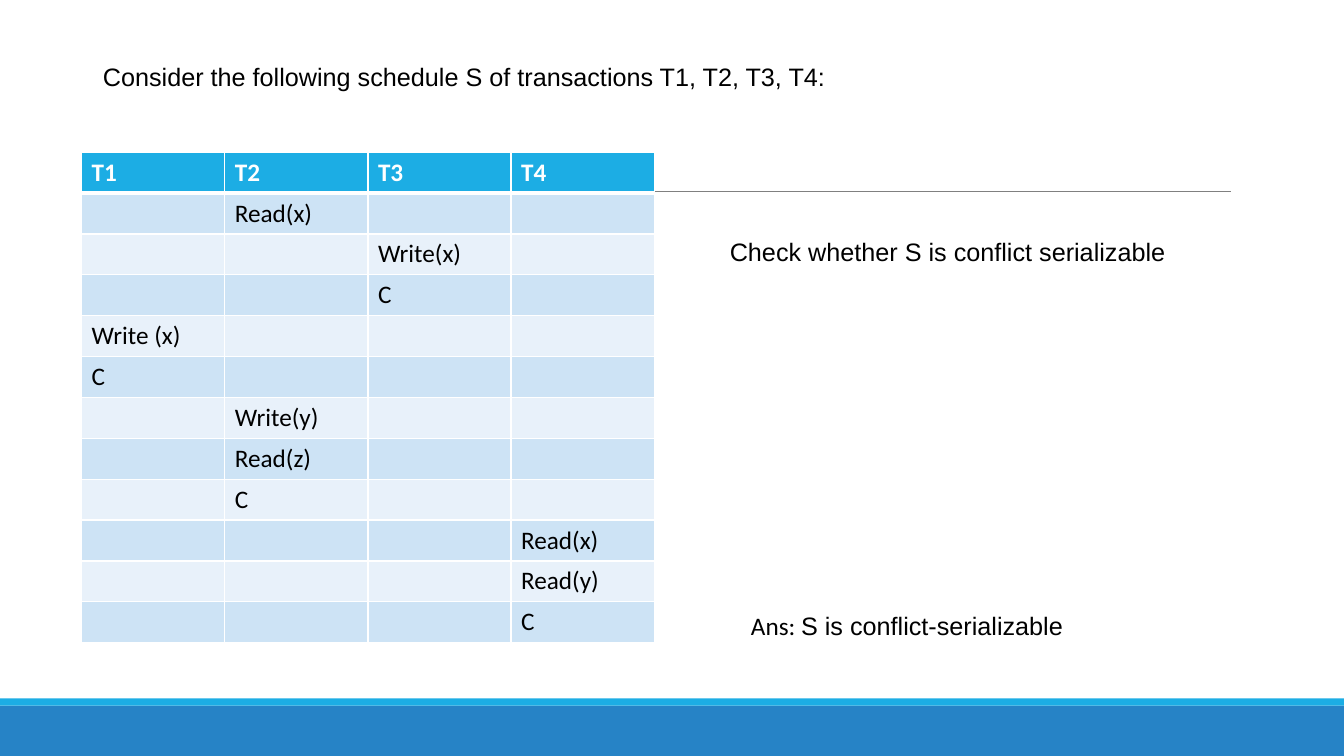
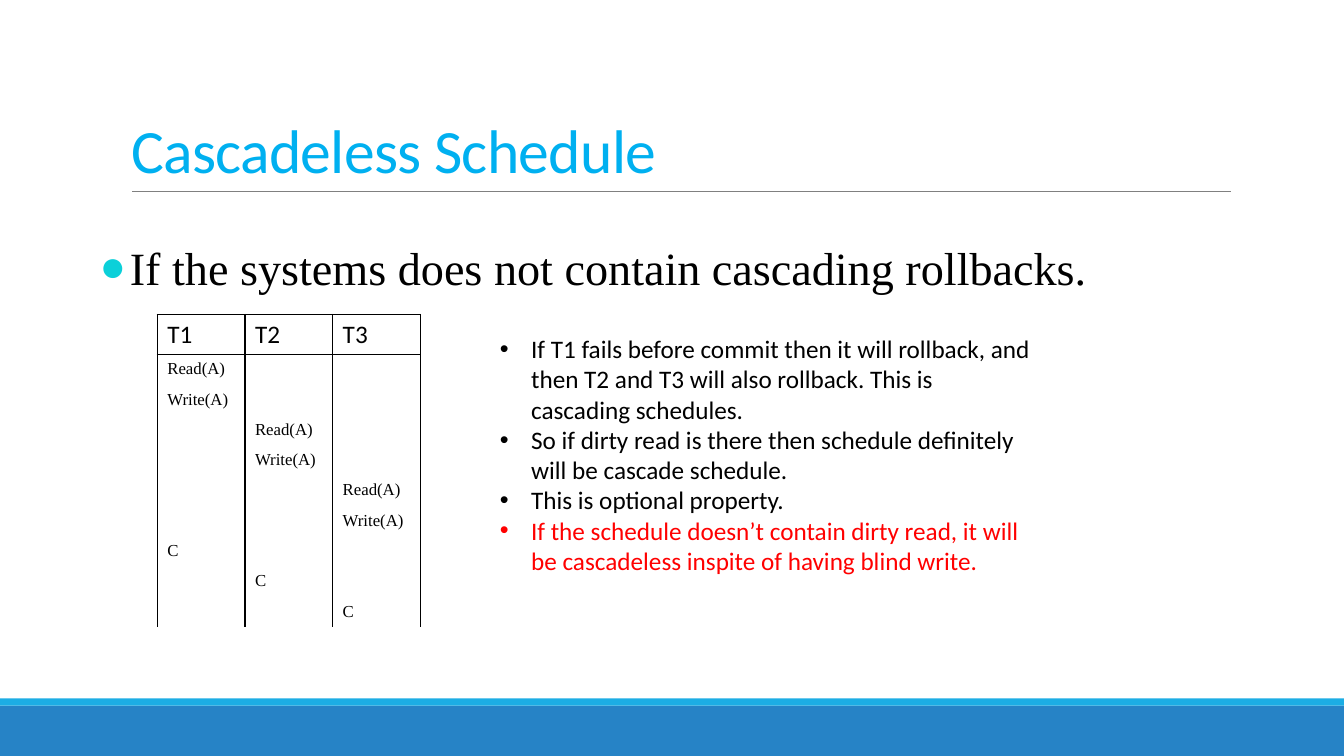
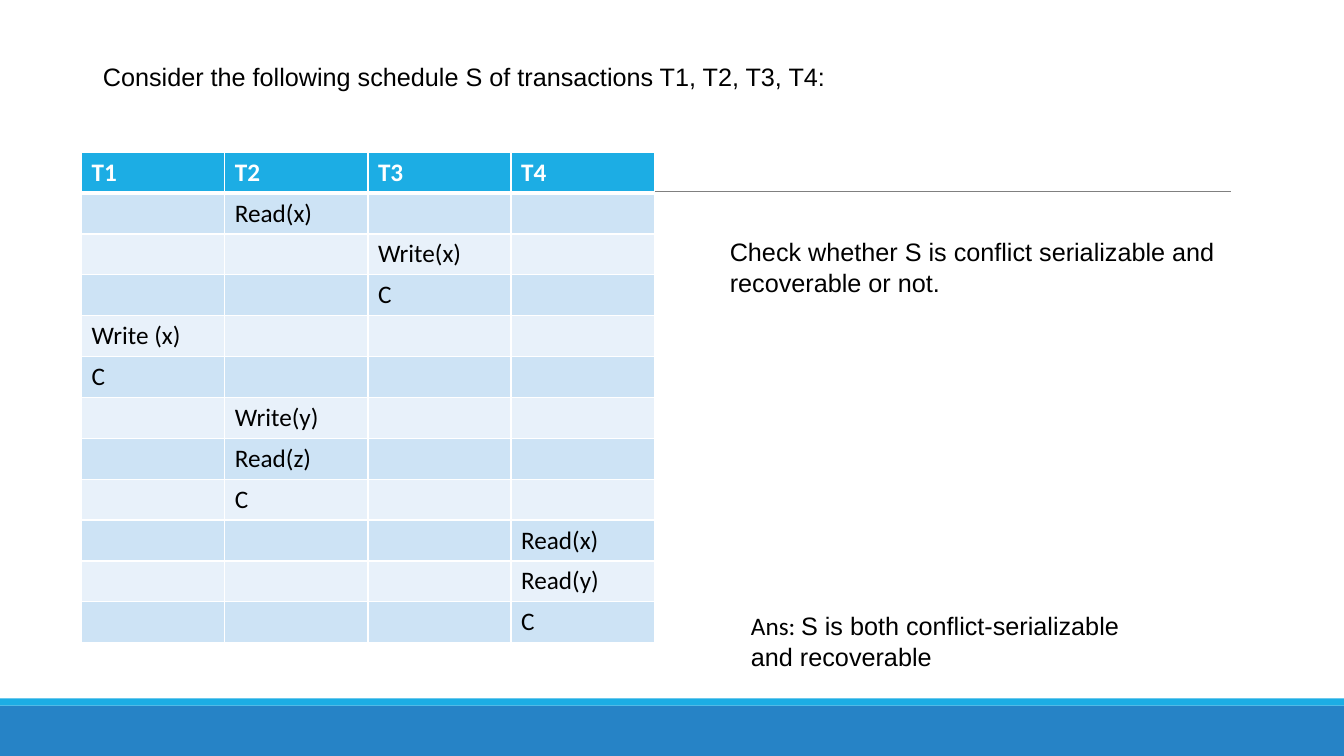
from lxml import etree
from pptx import Presentation
from pptx.dml.color import RGBColor
from pptx.enum.shapes import MSO_CONNECTOR, MSO_SHAPE
from pptx.enum.text import MSO_ANCHOR, MSO_AUTO_SIZE, PP_ALIGN
from pptx.oxml.ns import qn
from pptx.util import Inches, Pt

RECTANGLE, STRAIGHT = MSO_SHAPE.RECTANGLE, MSO_CONNECTOR.STRAIGHT
TOP, BOTTOM = MSO_ANCHOR.TOP, MSO_ANCHOR.BOTTOM
LEFT, FIXED = PP_ALIGN.LEFT, MSO_AUTO_SIZE.NONE
TITLE_ONLY = 5
NO_STYLE_NO_GRID = "{2D5ABB26-0587-4C30-8999-92F81FD0307C}"


class Theme:
    black, white, red = "000000", "FFFFFF", "FF0000"
    band, accent, rule = "2683C6", "1CADE4", "808080"
    title, bullet = "00B0F0", "0BD0D9"
    stripes = ("CDE3F5", "E8F1FA")
    heading = {"name": "Calibri", "size": 44, "color": title}
    sans = {"name": "Arial", "size": 18, "color": black}
    text = {"name": "Calibri", "size": 18, "color": black}
    alert = {**text, "color": red}
    statement = {"name": "Times New Roman", "size": 33, "color": black}
    operation = {**statement, "size": 12}
    header = {**text, "color": white, "bold": True}


SLIDE_SIZE = (13.33, 7.5)
BANDS = [((0, 7, 13.33, 0.5), Theme.band), ((0, 6.93, 13.33, 0.07), Theme.accent)]
RULE = (1.31, 12.21, 1.9)

# Each step is (transaction number, operation), in time order
CONFLICT_STEPS = [
    (2, "Read(x)"), (3, "Write(x)"), (3, "C"), (1, "Write (x)"), (1, "C"),
    (2, "Write(y)"), (2, "Read(z)"), (2, "C"), (4, "Read(x)"), (4, "Read(y)"), (4, "C"),
]
CASCADE_STEPS = [
    (1, "Read(A)"), (1, "Write(A)"), (2, "Read(A)"), (2, "Write(A)"),
    (3, "Read(A)"), (3, "Write(A)"), (1, "C"), (2, "C"), (3, "C"),
]
EXERCISE_INTRO = "Consider the following schedule S of transactions T1, T2, T3, T4:"
EXERCISES = [
    ("Check whether S is conflict serializable", "S is conflict-serializable"),
    ("Check whether S is conflict serializable and recoverable or not.",
     "S is both conflict-serializable and recoverable"),
]
CASCADELESS_TITLE = "Cascadeless Schedule"
CASCADELESS_MEANING = "If the systems does not contain cascading rollbacks."
CASCADELESS_NOTES = [
    ("If T1 fails before commit then it will rollback, and then T2 and T3 will also "
     "rollback. This is cascading schedules.", Theme.text),
    ("So if dirty read is there then schedule definitely will be cascade schedule.", Theme.text),
    ("This is optional property.", Theme.text),
    ("If the schedule doesn’t contain dirty read, it will be cascadeless inspite of "
     "having blind write.", Theme.alert),
]

# Border widths in points by edge, for the header row and the rows below it
STRIPED = {
    "at": (0.81, 1.51), "column": 1.42, "rows": (0.4, 0.4), "line": Theme.white,
    "header": Theme.header, "body": Theme.text,
    "header_fill": Theme.accent, "fills": Theme.stripes,
    "header_edges": {"L": 1, "R": 1, "T": 1, "B": 3}, "body_edges": {"L": 1, "R": 1, "B": 1},
}
OUTLINED = {
    "at": (1.56, 3.12), "column": 0.87, "rows": (0.4, 0.28), "line": Theme.black,
    "header": Theme.text, "body": Theme.operation,
    "header_fill": None, "fills": (None,),
    "header_edges": {"L": 1, "R": 1, "T": 1, "B": 1}, "body_edges": {"L": 1, "R": 1},
}


def set_all(target, values):
    for attribute, value in values.items():
        setattr(target, attribute, value)


def paint(fill, color):
    if color is None:
        fill.background()
    else:
        fill.solid()
        fill.fore_color.rgb = RGBColor.from_string(color)


def add_run(paragraph, text, style):
    run = paragraph.add_run()
    run.text = text
    set_all(run.font, {"name": style["name"], "size": Pt(style["size"]),
                       "bold": style.get("bold", False)})
    run.font.color.rgb = RGBColor.from_string(style["color"])
    return run


def add_bullet(paragraph, symbol, color, indent, percent=100):
    properties = paragraph._p.get_or_add_pPr()
    properties.set("marL", str(Inches(indent)))
    properties.set("indent", str(-Inches(indent)))
    bullet_color = etree.SubElement(properties, qn("a:buClr"))
    etree.SubElement(bullet_color, qn("a:srgbClr"), val=color)
    etree.SubElement(properties, qn("a:buSzPct"), val=str(percent * 1000))
    etree.SubElement(properties, qn("a:buFont"), typeface="Arial")
    etree.SubElement(properties, qn("a:buChar"), char=symbol)


def add_text(slide, at, paragraphs, bullet=None):
    """Add a wrapped box; each paragraph is a list of (text, style) runs."""
    frame = slide.shapes.add_textbox(*map(Inches, at)).text_frame
    frame.word_wrap = True
    for number, runs in enumerate(paragraphs):
        paragraph = frame.add_paragraph() if number else frame.paragraphs[0]
        if bullet:
            add_bullet(paragraph, **{"color": runs[0][1]["color"], **bullet})
        for text, style in runs:
            add_run(paragraph, text, style)


def set_title(slide, at, text, style, anchor, side_margin, line_spacing):
    title = slide.shapes.title
    set_all(title, dict(zip(("left", "top", "width", "height"), map(Inches, at))))
    set_all(title.text_frame, {
        "word_wrap": True, "auto_size": FIXED, "vertical_anchor": anchor,
        "margin_left": Inches(side_margin), "margin_right": Inches(side_margin)})
    paragraph = title.text_frame.paragraphs[0]
    set_all(paragraph, {"alignment": LEFT, "line_spacing": line_spacing})
    return add_run(paragraph, text, style)


def new_slide(deck):
    """Add a title-only slide with the shared bands and rule."""
    slide = deck.slides.add_slide(deck.slide_layouts[TITLE_ONLY])
    for at, color in BANDS:
        band = slide.shapes.add_shape(RECTANGLE, *map(Inches, at))
        band.shadow.inherit = False
        paint(band.fill, color)
        band.line.fill.background()
    start, end, height = map(Inches, RULE)
    rule = slide.shapes.add_connector(STRAIGHT, start, height, end, height)
    rule.line.width = Pt(0.5)
    rule.line.color.rgb = RGBColor.from_string(Theme.rule)
    etree.SubElement(rule._element.spPr, qn("a:effectLst"))
    return slide


def set_borders(cell, edges, color):
    properties = cell._tc.get_or_add_tcPr()
    for edge, width in edges.items():
        border = etree.SubElement(properties, qn(f"a:ln{edge}"), w=str(Pt(width)))
        fill = etree.SubElement(border, qn("a:solidFill"))
        etree.SubElement(fill, qn("a:srgbClr"), val=color)


def add_schedule(slide, steps, look):
    """Add a table with a column per transaction and a row per step."""
    columns = max(transaction for transaction, _ in steps)
    header_height, step_height = look["rows"]
    left, top = look["at"]
    table = slide.shapes.add_table(
        len(steps) + 1, columns, Inches(left), Inches(top), Inches(columns * look["column"]),
        Inches(header_height + len(steps) * step_height)).table
    table.horz_banding = False
    table._tbl.tblPr.find(qn("a:tableStyleId")).text = NO_STYLE_NO_GRID
    for column in table.columns:
        column.width = Inches(look["column"])

    names = {number: f"T{number}" for number in range(1, columns + 1)}
    contents = [names] + [{transaction: operation} for transaction, operation in steps]
    for index, content in enumerate(contents):
        part = "body" if index else "header"
        table.rows[index].height = Inches(step_height if index else header_height)
        fills = look["fills"]
        color = fills[(index - 1) % len(fills)] if index else look["header_fill"]
        for number in names:
            cell = table.cell(index, number - 1)
            set_borders(cell, look[f"{part}_edges"], look["line"])
            paint(cell.fill, color)
            paragraph = cell.text_frame.paragraphs[0]
            style = look[part]
            if number in content:
                add_run(paragraph, content[number], style)
            else:
                etree.SubElement(paragraph._p, qn("a:endParaRPr"), sz=str(style["size"] * 100))


def add_exercise(deck, question, answer):
    slide = new_slide(deck)
    set_title(slide, (1.02, 0.59, 10.83, 0.5), EXERCISE_INTRO, Theme.sans, TOP, 0, 0.9)
    add_schedule(slide, CONFLICT_STEPS, STRIPED)
    add_text(slide, (7.14, 2.3, 5.27, 0.4), [[(question, Theme.sans)]])
    add_text(slide, (7.35, 6.01, 4.23, 0.4), [[("Ans: ", Theme.text), (answer, Theme.sans)]])


def add_cascadeless(deck):
    slide = new_slide(deck)
    title = set_title(slide, (1.2, 0.31, 11, 1.59), CASCADELESS_TITLE, Theme.heading,
                      BOTTOM, 0.1, 0.85)
    title.font._element.set("spc", "-50")
    add_text(slide, (0.89, 2.32, 11.5, 0.65), [[(CASCADELESS_MEANING, Theme.statement)]],
             {"symbol": "●", "color": Theme.bullet, "indent": 0.3, "percent": 95})
    add_schedule(slide, CASCADE_STEPS, OUTLINED)
    add_text(slide, (4.86, 3.26, 5.47, 2.83), [[note] for note in CASCADELESS_NOTES],
             {"symbol": "•", "indent": 0.31})


def main():
    deck = Presentation()
    deck.slide_width, deck.slide_height = map(Inches, SLIDE_SIZE)
    add_exercise(deck, *EXERCISES[0])
    add_cascadeless(deck)
    add_exercise(deck, *EXERCISES[1])
    deck.save("out.pptx")


if __name__ == "__main__":
    main()
